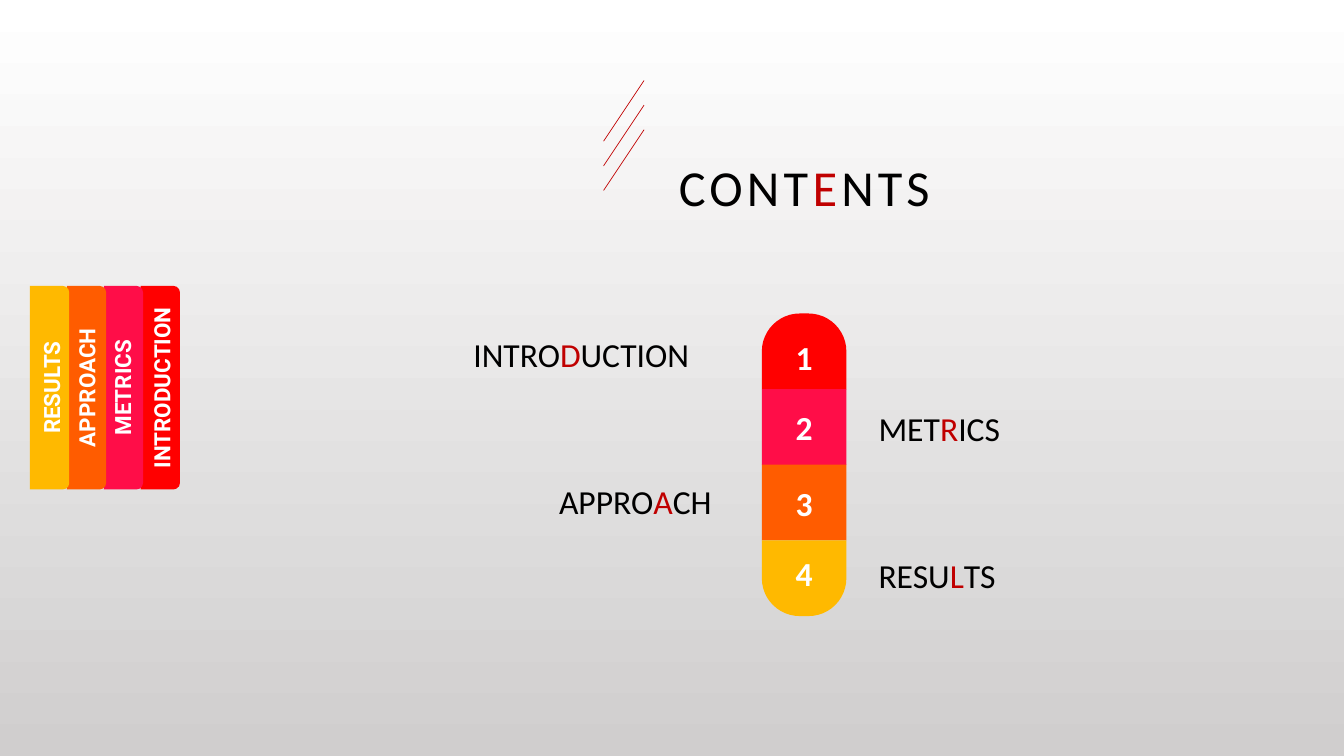
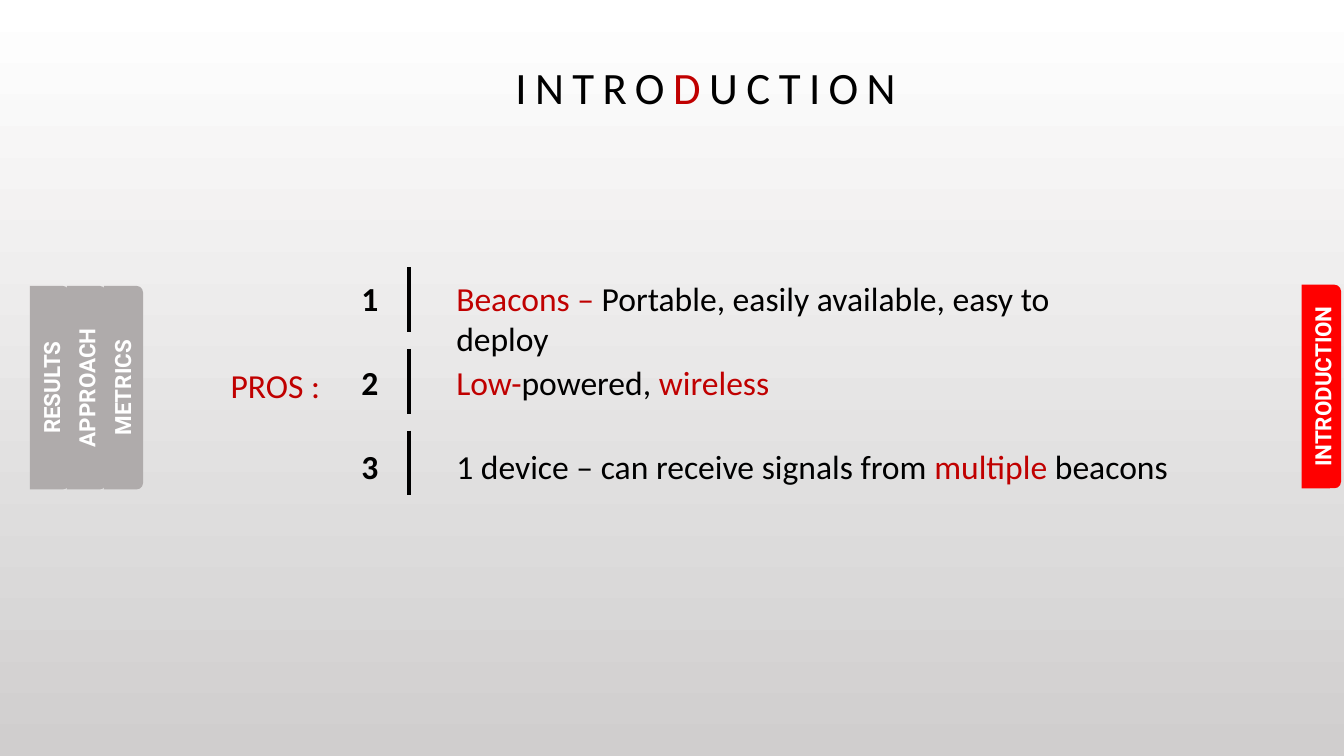
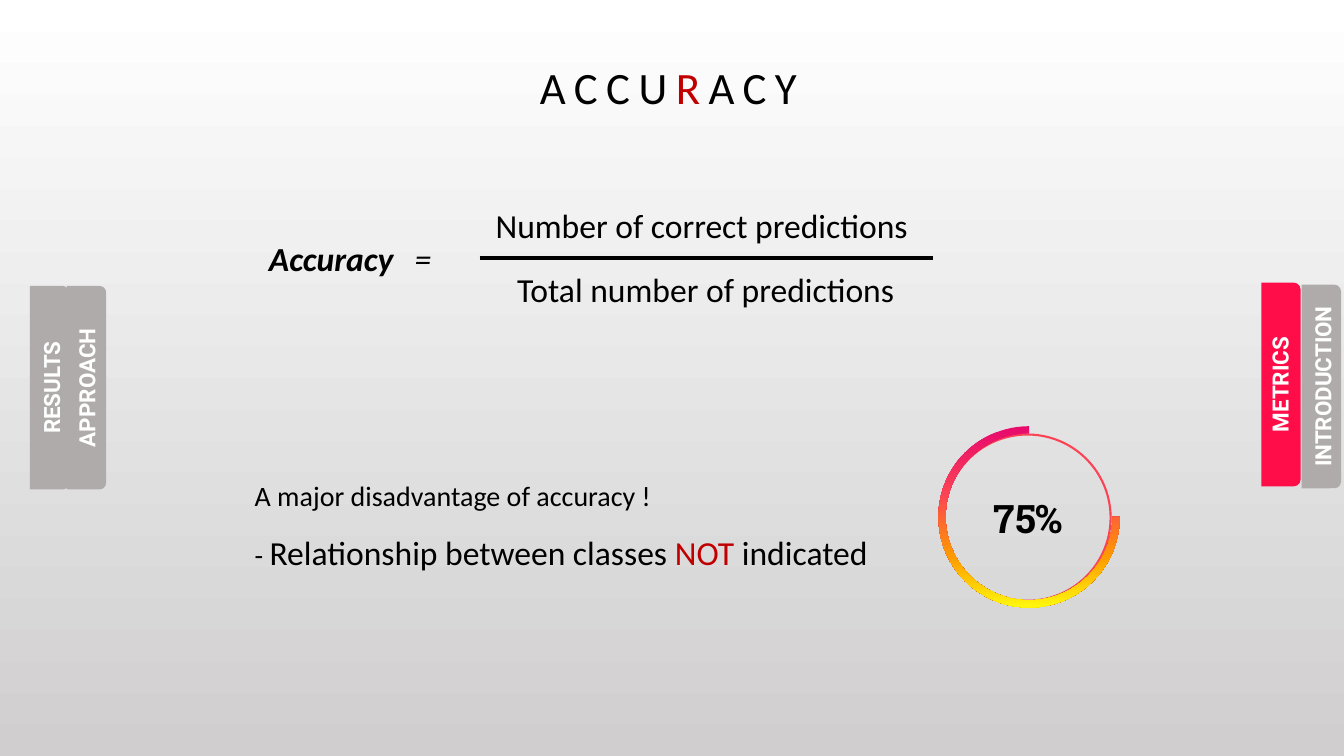
"""Builds three slides on indoor positioning: contents, introduction and accuracy."""
from copy import deepcopy
from dataclasses import dataclass
from typing import Any, NamedTuple, Optional

from pptx import Presentation
from pptx import util as u
from pptx.dml import color as dml
from pptx.enum import shapes, text
from pptx.oxml import ns
from lxml import etree

BLACK, WHITE, ACCENT, INACTIVE = "000000", "FFFFFF", "C00000", "AFABAB"
BACKDROP = [(0, WHITE), (1, "D0CECE")]
GAUGE = [(0.02, "E80C6C"), (0.37, "FB4355"), (0.72, "FF9A00"), (1, "FFF80D")]
TAB_LENGTH, TAB_DEPTH = 5.13, 0.99
LEFT, CENTER = text.PP_ALIGN.LEFT, text.PP_ALIGN.CENTER
TOP, MIDDLE, BOTTOM = text.MSO_ANCHOR.TOP, text.MSO_ANCHOR.MIDDLE, text.MSO_ANCHOR.BOTTOM
Preset = shapes.MSO_SHAPE


class Box(NamedTuple):
    """Left, top, width and height in centimetres."""
    left: float
    top: float
    width: float
    height: float = 1.27


@dataclass(frozen=True)
class Topic:
    """A chapter with its colour, contents entry and tab label offset."""
    heading: str
    color: str
    entry_left: float
    entry_width: float
    label_shift: float = 0


@dataclass(frozen=True)
class Advantage:
    """A numbered point and the width of its text."""
    words: str
    width: float


TOPICS = [
    Topic("INTRO|D|UCTION", "FF0000", 11.68, 7.04, 0.03),
    Topic("MET|R|ICS", "FF0D48", 21.89, 4.01, -0.03),
    Topic("APPRO|A|CH", "FF5C00", 13.84, 4.98),
    Topic("RESU|L|TS", "FFB900", 21.89, 4.01, 0.04),
]
ADVANTAGES = [
    Advantage("|Beacons – |Portable, easily available, easy to deploy", 17.91),
    Advantage("|Low-|powered, |wireless", 13.94),
    Advantage("1 device – can receive signals from |multiple |beacons", 19.43),
]


def rgb(value: str) -> dml.RGBColor:
    """Turn a hex string into a colour."""
    return dml.RGBColor.from_string(value)


def lengths(box: Box) -> list[u.Cm]:
    """Convert a box to slide lengths."""
    return [u.Cm(side) for side in box]


def set_gradient(fill: Any, owner: Any, stops: list[tuple[float, str]]) -> None:
    """Give a fill a gradient that runs from top to bottom."""
    fill.gradient()
    fill.gradient_angle = 270
    stop_list = owner.find(f".//{ns.qn('a:gsLst')}")
    while len(stop_list) < len(stops):
        stop_list.append(deepcopy(stop_list[0]))
    for stop, (position, shade) in zip(fill.gradient_stops, stops):
        stop.position = position
        stop.color.rgb = rgb(shade)


def write(shape: Any, words: str, *, size: float = 24, font: str = "Calibri",
          color: str = BLACK, bold: bool = False, italic: bool = False,
          align: Any = LEFT, anchor: Any = TOP, tracking: float = 0,
          leading: Optional[float] = None) -> Any:
    """Fill a shape with text; every second part between bars is accented."""
    frame = shape.text_frame
    frame.word_wrap = True
    frame.vertical_anchor = anchor
    for index, line in enumerate(words.split("\n")):
        paragraph = frame.add_paragraph() if index else frame.paragraphs[0]
        paragraph.alignment = align
        if leading:
            paragraph.line_spacing = leading
        for order, part in enumerate(line.split("|")):
            if not part:
                continue
            run = paragraph.add_run()
            run.text = part
            run.font.name, run.font.size = font, u.Pt(size)
            run.font.bold, run.font.italic = bold, italic
            run.font.color.rgb = rgb(ACCENT if order % 2 else color)
            if tracking:
                run._r.get_or_add_rPr().set("spc", str(round(tracking * 100)))
    return shape


def add_text(slide: Any, box: Box, words: str, **style: Any) -> Any:
    """Add a text box."""
    return write(slide.shapes.add_textbox(*lengths(box)), words, **style)


def add_title(slide: Any, words: str, left: float) -> None:
    """Add the widely spaced slide title."""
    add_text(slide, Box(left, 1.32, 30.23, 1.68), words, size=32, tracking=6,
             align=CENTER, anchor=BOTTOM, leading=0.9)


def add_shape(slide: Any, preset: Any, box: Box, fill: Optional[str] = None,
              adjustments: tuple[float, ...] = ()) -> Any:
    """Add a preset shape without outline or shadow."""
    shape = slide.shapes.add_shape(preset, *lengths(box))
    shape.shadow.inherit = False
    shape.line.fill.background()
    if fill:
        shape.fill.solid()
        shape.fill.fore_color.rgb = rgb(fill)
    else:
        shape.fill.background()
    for index, value in enumerate(adjustments):
        shape.adjustments[index] = value
    return shape


def add_line(slide: Any, start: tuple[float, float], end: tuple[float, float],
             color: str, weight: float) -> None:
    """Draw a straight line."""
    line = slide.shapes.add_connector(
        shapes.MSO_CONNECTOR.STRAIGHT, *(u.Cm(value) for value in start + end))
    line.line.color.rgb = rgb(color)
    line.line.width = u.Pt(weight)
    etree.SubElement(line._element.spPr, ns.qn("a:effectLst"))


def add_tabs(slide: Any, current: Optional[int] = None) -> None:
    """Draw the chapter tabs; those already reached sit at the right edge."""
    for index, topic in enumerate(TOPICS):
        reached = current is not None and index <= current
        middle_x = 33.3 - 1.02 * index if reached else 4.04 - 0.93 * index
        middle_y = 9.74 - 0.05 * index if reached else 9.77
        box = Box(middle_x - TAB_LENGTH / 2, middle_y - TAB_DEPTH / 2, TAB_LENGTH, TAB_DEPTH)
        shade = topic.color if current in (None, index) else INACTIVE
        tab = add_shape(slide, Preset.ROUND_2_SAME_RECTANGLE, box, shade)
        tab.rotation = 90
        label = add_text(slide, box._replace(left=box.left + topic.label_shift),
                         topic.heading.replace("|", ""), size=16, font="Roboto",
                         color=WHITE, bold=True, align=CENTER, anchor=MIDDLE)
        label.rotation = 270


def build_contents(slide: Any) -> None:
    """Draw the contents slide."""
    last = len(TOPICS) - 1
    for index, topic in enumerate(TOPICS):
        rounding = (0.5 if index == 0 else 0, 0.5 if index == last else 0)
        number = add_shape(slide, Preset.ROUND_2_SAME_RECTANGLE,
                           Box(19.2, 7.9 + 1.905 * index, 2.13, 1.91), topic.color, rounding)
        write(number, str(index + 1), color=WHITE, bold=True, align=CENTER, anchor=MIDDLE)
        add_text(slide, Box(topic.entry_left, 8.3 + 1.85 * index, topic.entry_width),
                 topic.heading)
    add_text(slide, Box(16.23, 3.81, 8.08, 1.8), "CONT|E|NTS", size=36, tracking=3,
             align=CENTER)
    for index in range(3):
        drop = 0.62 * index
        add_line(slide, (15.21, 3.56 + drop), (16.23, 2.03 + drop), ACCENT, 0.5)
    add_tabs(slide)


def build_introduction(slide: Any) -> None:
    """Draw the slide with the advantages of beacons."""
    add_tabs(slide, 0)
    add_title(slide, TOPICS[0].heading, 2.67)
    for index, advantage in enumerate(ADVANTAGES):
        top, bar_top = 6.88 + 2.12 * index, 6.73 + 2.06 * index
        add_text(slide, Box(8.86, top, 0.79), str(index + 1), bold=True)
        add_text(slide, Box(11.25, top, advantage.width), advantage.words)
        add_line(slide, (10.31, bar_top), (10.31, bar_top + 1.63), BLACK, 3)
    add_text(slide, Box(5.56, 9.07, 3.15), "PROS :", color=ACCENT)


def build_accuracy(slide: Any) -> None:
    """Draw the accuracy formula, its drawback and the gauge."""
    add_tabs(slide, 1)
    add_title(slide, "ACCU|R|ACY", 1.73)
    add_text(slide, Box(6.53, 5.87, 4), "Accuracy", bold=True, italic=True)
    add_text(slide, Box(10.2, 5.87, 1.2), "=", italic=True)
    add_text(slide, Box(12.24, 5.03, 11.4), "Number of correct predictions")
    add_text(slide, Box(12.78, 6.65, 10.11), "Total number of predictions")
    add_line(slide, (12.09, 6.5), (23.52, 6.5), BLACK, 2.25)
    drawback = add_text(
        slide, Box(6.17, 11.51, 20.17, 3.07),
        "A major disadvantage of accuracy !\n"
        "- ||Relationship between classes |NOT| indicated", size=20, leading=1.5)
    for run in drawback.text_frame.paragraphs[1].runs[1:]:
        run.font.size = u.Pt(24)
    ring = add_shape(slide, Preset.OVAL, Box(23.8, 10.95, 4.19, 4.19))
    ring.line.color.rgb = rgb("FB4355")
    ring.line.width = u.Pt(1.5)
    add_text(slide, Box(24.51, 12.32, 2.82, 1.45), "75%", size=28, font="Roboto Slab",
             bold=True, align=CENTER)
    progress = add_shape(slide, Preset.BLOCK_ARC, Box(23.65, 10.74, 4.57, 4.57),
                         adjustments=(0, 162, 0.04))
    set_gradient(progress.fill, progress._element, GAUGE)


def main() -> None:
    """Build and save the presentation."""
    deck = Presentation()
    deck.slide_width, deck.slide_height = u.Cm(33.87), u.Cm(19.05)
    master = deck.slide_master
    set_gradient(master.background.fill, master._element, BACKDROP)
    for build in (build_contents, build_introduction, build_accuracy):
        build(deck.slides.add_slide(deck.slide_layouts[6]))
    deck.save("out.pptx")


if __name__ == "__main__":
    main()
